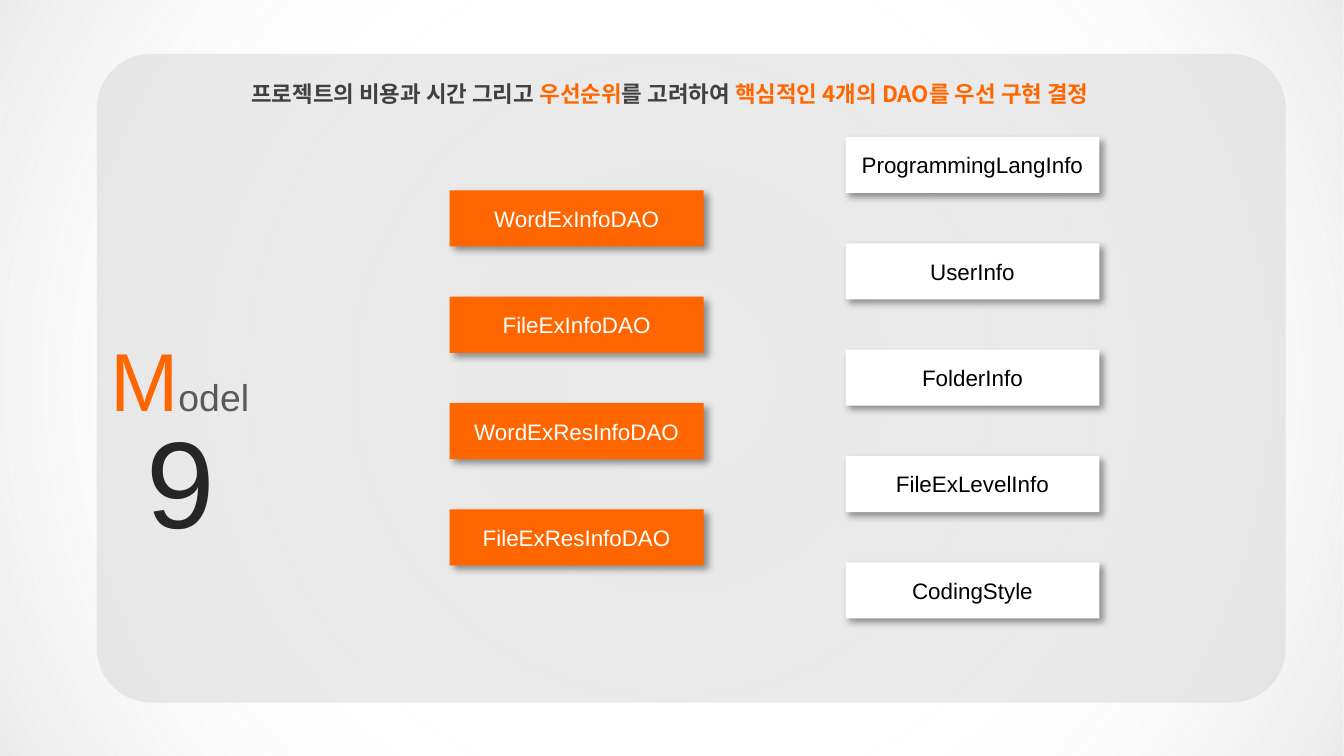
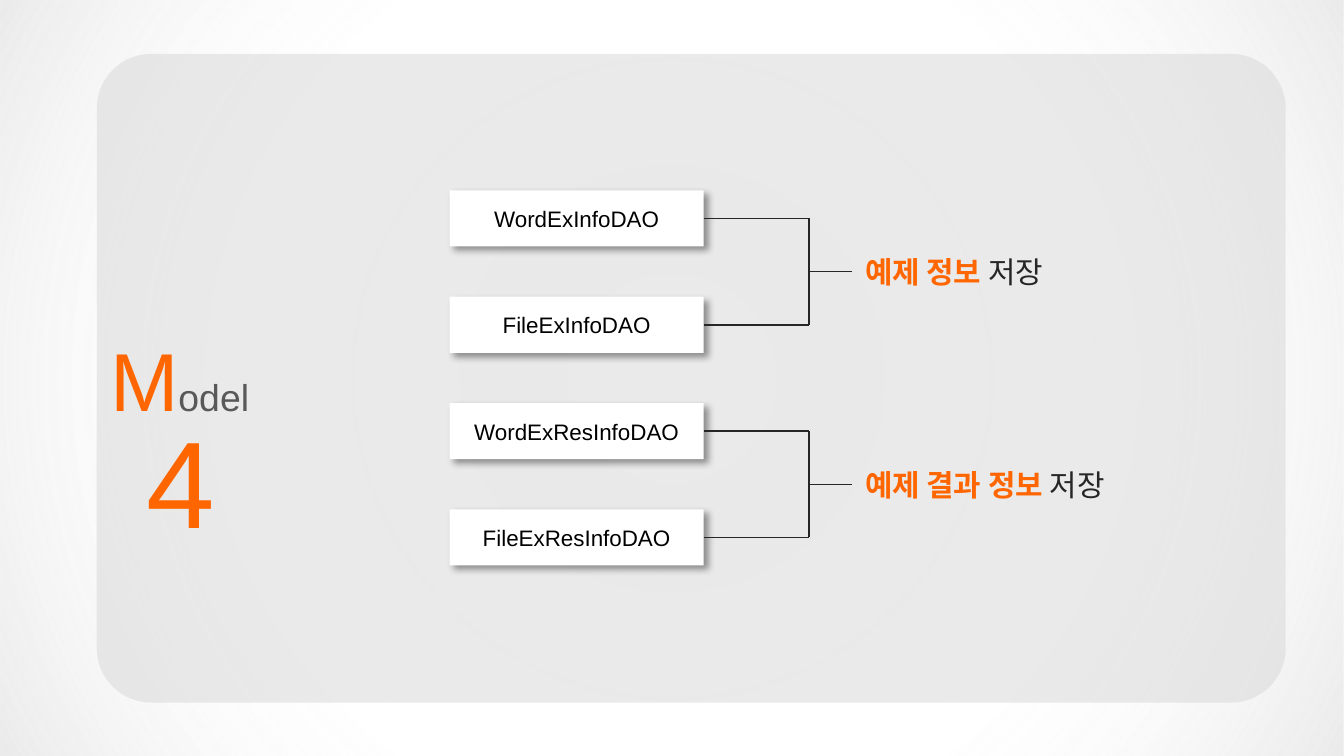
from typing import NamedTuple

from lxml import etree
from pptx import Presentation
from pptx.dml.color import RGBColor
from pptx.enum.shapes import MSO_CONNECTOR, MSO_SHAPE
from pptx.enum.text import MSO_ANCHOR, PP_ALIGN
from pptx.oxml import parse_xml
from pptx.oxml.ns import qn
from pptx.util import Cm, Pt

RECT, ROUND = MSO_SHAPE.RECTANGLE, MSO_SHAPE.ROUNDED_RECTANGLE
LINE = MSO_CONNECTOR.STRAIGHT
MIDDLE = MSO_ANCHOR.MIDDLE
LEFT, CENTER = PP_ALIGN.LEFT, PP_ALIGN.CENTER

ORANGE, WHITE, BLACK = "FF6600", "FFFFFF", "000000"
DARK, SLATE, GREY, PALE = "262626", "404040", "595959", "D9D9D9"
LATIN, KOREAN = "Arial", "Noto Sans CJK KR"
NS = 'xmlns:a="http://schemas.openxmlformats.org/drawingml/2006/main"'

GLOW = f"""<a:gradFill {NS} rotWithShape="1"><a:gsLst>
<a:gs pos="0"><a:srgbClr val="FFFFFF"/></a:gs>
<a:gs pos="55000"><a:srgbClr val="FDFDFD"><a:alpha val="0"/></a:srgbClr></a:gs>
<a:gs pos="100000"><a:srgbClr val="D9D9D9"><a:alpha val="54000"/></a:srgbClr></a:gs>
</a:gsLst><a:path path="circle"><a:fillToRect l="50000" t="50000" r="50000" b="50000"/>
</a:path></a:gradFill>"""
SHADOW = f"""<a:effectLst {NS}>
<a:outerShdw blurRad="50800" dist="38100" dir="2700000" algn="tl" rotWithShape="0">
<a:srgbClr val="000000"><a:alpha val="40000"/></a:srgbClr></a:outerShdw></a:effectLst>"""

# Sizes in centimetres
PAGE_W, PAGE_H = 25.4, 14.29
BOX_W, BOX_H, PITCH = 4.8, 1.06, 2.01
DAO_X, DAO_Y = 8.5, 3.6
INFO_X, INFO_Y = 15.98, 2.59
JOINT_X, LABEL_X, LABEL_H = 15.29, 16.1, 1.6

DAOS = ["WordExInfoDAO", "FileExInfoDAO", "WordExResInfoDAO", "FileExResInfoDAO"]
INFOS = ["ProgrammingLangInfo", "UserInfo", "FolderInfo", "FileExLevelInfo", "CodingStyle"]


class Area(NamedTuple):
    x: float
    y: float
    w: float
    h: float


class Part(NamedTuple):
    text: str
    size: float
    color: str
    font: str = LATIN
    bold: bool = False


class Group(NamedTuple):
    first: int
    name: str
    width: float


HEAD = [
    Part("프로젝트의 비용과 시간 그리고 ", 12, SLATE, KOREAN, True),
    Part("우선순위", 12, ORANGE, KOREAN, True),
    Part("를 고려하여 ", 12, SLATE, KOREAN, True),
    Part("핵심적인 4개의 DAO를 우선 구현 결정", 12, ORANGE, KOREAN, True),
]
GROUPS = [Group(0, "예제 정보 ", 4.4), Group(2, "예제 결과 정보 ", 6)]


def rgb(color: str) -> RGBColor:
    return RGBColor.from_string(color)


def place(area: Area) -> list:
    return [Cm(value) for value in area]


def write(shape, parts: list, align=LEFT) -> None:
    """Fill a shape with one line of styled runs."""
    frame = shape.text_frame
    frame.word_wrap = True
    frame.vertical_anchor = MIDDLE
    line = frame.paragraphs[0]
    line.alignment = align
    for part in parts:
        run = line.add_run()
        run.text = part.text
        font = run.font
        font.size, font.bold, font.name = Pt(part.size), part.bold, part.font
        font.color.rgb = rgb(part.color)
        east = etree.SubElement(run._r.get_or_add_rPr(), qn("a:ea"))
        east.set("typeface", part.font)


def add_text(slide, area: Area, parts: list, align=LEFT) -> None:
    write(slide.shapes.add_textbox(*place(area)), parts, align)


def add_form(slide, kind, area: Area, fill: str):
    form = slide.shapes.add_shape(kind, *place(area))
    form.shadow.inherit = False
    form.fill.solid()
    form.fill.fore_color.rgb = rgb(fill)
    form.line.fill.background()
    return form


def add_stack(slide, x: float, y: float, names: list, fill: str, ink: str) -> None:
    """Draw a column of evenly spaced boxes with shadows."""
    for row, name in enumerate(names):
        box = add_form(slide, RECT, Area(x, y + row * PITCH, BOX_W, BOX_H), fill)
        props = box.element.spPr
        props.replace(props.find(qn("a:effectLst")), parse_xml(SHADOW))
        write(box, [Part(name, 12, ink)], CENTER)


def add_line(slide, x1: float, y1: float, x2: float, y2: float) -> None:
    line = slide.shapes.add_connector(LINE, Cm(x1), Cm(y1), Cm(x2), Cm(y2))
    line.line.color.rgb = rgb(DARK)
    line.line.width = Pt(0.75)
    etree.SubElement(line.element.spPr, qn("a:effectLst"))


def add_group(slide, group: Group) -> None:
    """Bracket two neighbouring boxes and label the pair."""
    top = DAO_Y + group.first * PITCH + BOX_H / 2
    low, mid = top + PITCH, top + PITCH / 2
    for y in (top, low):
        add_line(slide, DAO_X + BOX_W, y, JOINT_X, y)
    add_line(slide, JOINT_X, low, JOINT_X, top)
    add_line(slide, JOINT_X, mid, LABEL_X, mid)
    parts = [Part(group.name, 16, ORANGE, KOREAN, True), Part("저장", 16, DARK, KOREAN)]
    add_text(slide, Area(LABEL_X, mid - LABEL_H / 2, group.width, LABEL_H), parts)


def add_glow(deck, layout) -> None:
    """Put the radial backdrop on the shared layout."""
    slide = deck.slides[0]
    glow = add_form(slide, RECT, Area(0, 0, PAGE_W, PAGE_H), WHITE)
    props = glow.element.spPr
    props.replace(props.find(qn("a:solidFill")), parse_xml(GLOW))
    layout.shapes.element.append(glow.element)


def add_page(deck, layout, count: str, ink: str):
    """Add a slide with the panel, the title and the large count."""
    slide = deck.slides.add_slide(layout)
    panel = add_form(slide, ROUND, Area(1.83, 1.02, 22.47, 12.26), PALE)
    panel.adjustments[0] = 0.084
    shade = panel.element.spPr.find(qn("a:solidFill"))[0]
    etree.SubElement(shade, qn("a:alpha")).set("val", "55000")
    title = [Part("M", 44, ORANGE), Part("odel", 20, GREY)]
    add_text(slide, Area(1.83, 6.35, 4.17, 1.6), title)
    add_text(slide, Area(2.31, 8.53, 2.21, 1.07), [Part(count, 66, ink)], CENTER)
    return slide


def main() -> None:
    deck = Presentation()
    deck.slide_width, deck.slide_height = Cm(PAGE_W), Cm(PAGE_H)
    layout = deck.slide_layouts[6]

    # Slide 1: chosen classes beside the others
    slide = add_page(deck, layout, "9", DARK)
    add_glow(deck, layout)
    add_stack(slide, DAO_X, DAO_Y, DAOS, ORANGE, WHITE)
    add_stack(slide, INFO_X, INFO_Y, INFOS, WHITE, BLACK)
    add_text(slide, Area(4.5, 0.97, 17.15, 1.6), HEAD)

    # Slide 2: what each pair stores
    slide = add_page(deck, layout, "4", ORANGE)
    add_stack(slide, DAO_X, DAO_Y, DAOS, WHITE, BLACK)
    for group in GROUPS:
        add_group(slide, group)

    deck.save("out.pptx")


if __name__ == "__main__":
    main()
